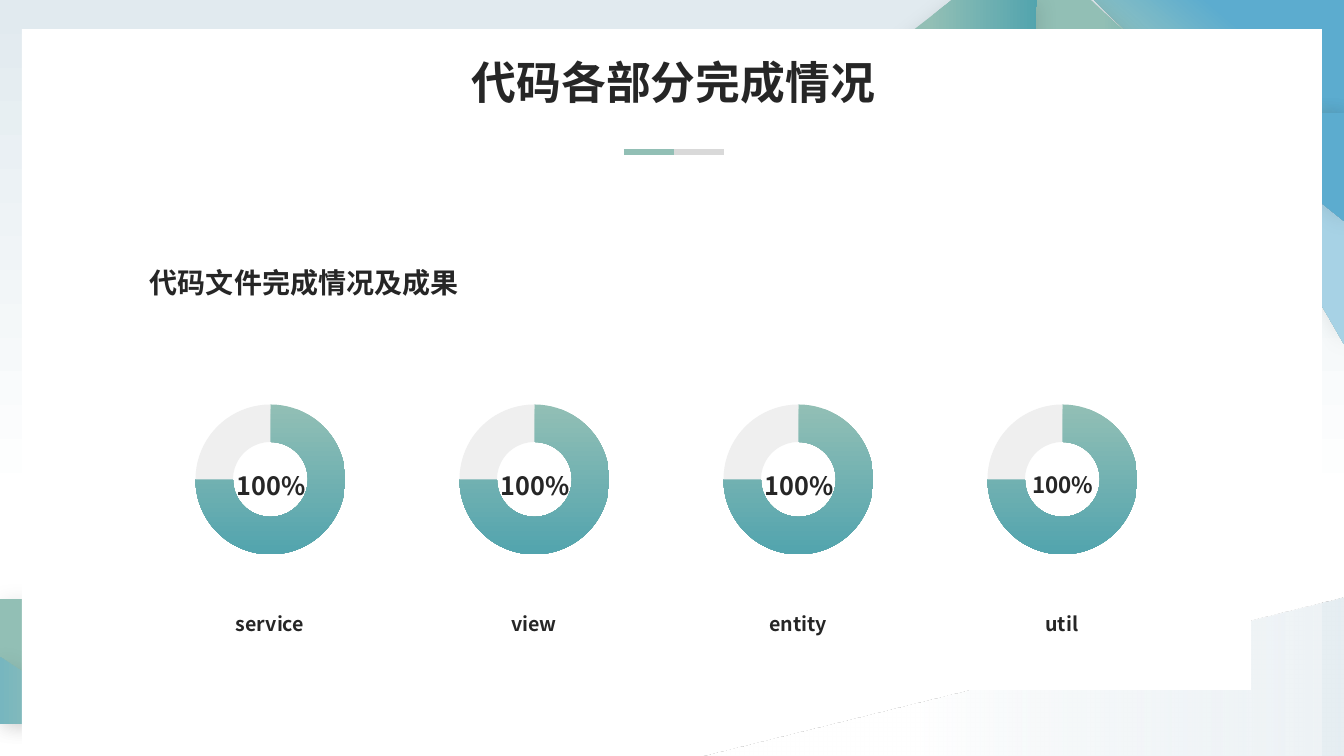
from lxml import etree
from pptx import Presentation
from pptx.chart.data import CategoryChartData
from pptx.dml.color import RGBColor
from pptx.enum.chart import XL_CHART_TYPE
from pptx.enum.shapes import MSO_CONNECTOR, MSO_SHAPE
from pptx.enum.text import MSO_ANCHOR, PP_ALIGN
from pptx.oxml import parse_xml
from pptx.oxml.ns import nsdecls, qn
from pptx.util import Pt

RECTANGLE = MSO_SHAPE.RECTANGLE
TRIANGLE = MSO_SHAPE.ISOSCELES_TRIANGLE
STRAIGHT = MSO_CONNECTOR.STRAIGHT
DOUGHNUT = XL_CHART_TYPE.DOUGHNUT
LEFT, CENTER = PP_ALIGN.LEFT, PP_ALIGN.CENTER
TOP, MIDDLE = MSO_ANCHOR.TOP, MSO_ANCHOR.MIDDLE

WHITE = RGBColor(0xFF, 0xFF, 0xFF)
MIST = RGBColor(0xE1, 0xEA, 0xEF)
SAGE = RGBColor(0x92, 0xBF, 0xB5)
LIGHT_SAGE = RGBColor(0xB6, 0xD3, 0xB7)
TEAL = RGBColor(0x52, 0xA4, 0xAE)
LIGHT_TEAL = RGBColor(0x77, 0xB6, 0xBF)
BLUE = RGBColor(0x5C, 0xAC, 0xCF)
LIGHT_BLUE = RGBColor(0xA7, 0xD2, 0xE5)
SILVER = RGBColor(0xD9, 0xD9, 0xD9)
RING_GREY = RGBColor(0xEF, 0xEF, 0xEF)
INK = RGBColor(0x26, 0x26, 0x26)

SCALE = 914400 / 100.8
SHADOW = (
    f'<a:effectLst {nsdecls("a")}><a:outerShdw blurRad="190500" dist="38100" '
    'dir="2700000" algn="tl" rotWithShape="0"><a:srgbClr val="000000">'
    '<a:alpha val="10000"/></a:srgbClr></a:outerShdw></a:effectLst>'
)


def emu(*lengths):
    return [round(length * SCALE) for length in lengths]


class SlidePainter:
    """Draws styled elements on one slide, with lengths in px."""

    font_name = "Noto Sans CJK SC"

    def __init__(self, slide):
        self.shapes = slide.shapes

    def gradient(self, fill, stops, angle):
        fill.gradient()
        fill.gradient_angle = (360 - angle) % 360
        for stop, (position, color) in zip(fill.gradient_stops, stops):
            stop.position = position / 100
            stop.color.rgb = color

    def finish(self, shape, paint, angle, shadow):
        shape.shadow.inherit = False
        shape.line.fill.background()
        if angle is None:
            shape.fill.solid()
            shape.fill.fore_color.rgb = paint
        else:
            self.gradient(shape.fill, paint, angle)
        if shadow:
            properties = shape._element.spPr
            properties.remove(properties.find(qn("a:effectLst")))
            properties.append(parse_xml(SHADOW))
        return shape

    def rectangle(self, area, paint, angle=None):
        shape = self.shapes.add_shape(RECTANGLE, *emu(*area))
        return self.finish(shape, paint, angle, False)

    def triangle(self, area, paint, angle, flip=None, shadow=True):
        shape = self.shapes.add_shape(TRIANGLE, *emu(*area))
        shape.adjustments[0] = 1
        if flip:
            shape._element.spPr.xfrm.set(flip, "1")
        return self.finish(shape, paint, angle, shadow)

    def polygon(self, points, paint, angle):
        builder = self.shapes.build_freeform(*points[0], scale=SCALE)
        builder.add_line_segments(points[1:], close=True)
        return self.finish(builder.convert_to_shape(), paint, angle, True)

    def slope(self):
        area = (704, 598, 640, 158)
        shape = self.triangle(area, [(0, MIST), (67, WHITE)], 180, shadow=False)
        color = shape._element.spPr.find(".//" + qn("a:gs"))[0]
        etree.SubElement(color, qn("a:alpha")).set("val", "57000")

    def line(self, left, right, y, color):
        line = self.shapes.add_connector(STRAIGHT, *emu(left, y, right, y))
        line.line.color.rgb = color
        line.line.width = Pt(4.5)
        etree.SubElement(line._element.spPr, qn("a:effectLst"))

    def text(self, area, text, size, align=CENTER, anchor=TOP, spacing=None, wrap=True):
        frame = self.shapes.add_textbox(*emu(*area)).text_frame
        frame.word_wrap = wrap
        frame.vertical_anchor = anchor
        frame.text = text
        para = frame.paragraphs[0]
        para.alignment = align
        para.line_spacing = spacing
        font = para.runs[0].font
        font.name = self.font_name
        font.size = Pt(size)
        font.bold = True
        font.color.rgb = INK
        east_asian = etree.SubElement(font._element, qn("a:ea"))
        east_asian.set("typeface", self.font_name)

    def ring(self, area, diameter):
        data = CategoryChartData()
        data.categories = ["1", "2"]
        data.add_series("Series 1", (75, 25))
        chart = self.shapes.add_chart(DOUGHNUT, *emu(*area), data).chart
        chart.has_legend = False
        chart.has_title = False
        chart.font.name = self.font_name
        chart.font.size = Pt(18)
        chart.font.color.rgb = INK
        plot = chart.plots[0]
        plot.vary_by_categories = False
        done, rest = [plot.series[0].points[i].format for i in range(2)]
        self.gradient(done.fill, [(0, SAGE), (100, TEAL)], 90)
        rest.fill.solid()
        rest.fill.fore_color.rgb = RING_GREY
        for part in (done, rest):
            part.line.fill.background()
        self.place_plot(chart, diameter / area[2], diameter / area[3])

    def place_plot(self, chart, width, height):
        plot_area = chart._chartSpace.chart.plotArea
        for layout in plot_area.findall(qn("c:layout")):
            plot_area.remove(layout)
        layout = etree.Element(qn("c:layout"))
        manual = etree.SubElement(layout, qn("c:manualLayout"))
        settings = {
            "layoutTarget": "inner", "xMode": "edge", "yMode": "edge",
            "x": (1 - width) / 2, "y": (1 - height) / 2, "w": width, "h": height,
        }
        for name, value in settings.items():
            etree.SubElement(manual, qn(f"c:{name}")).set("val", str(value))
        plot_area.insert(0, layout)


def draw_background(painter):
    painter.rectangle((0, 0, 1344, 756), [(0, MIST), (67, WHITE)], 90)
    painter.slope()
    painter.polygon([(122, 724), (29, 599), (0, 599), (0, 724)],
                    [(37, SAGE), (76, TEAL)], 20)
    painter.triangle((0, 657, 103, 67), [(45, SAGE), (100, LIGHT_TEAL)], 0, "flipH")
    for area, stops, angle in (
        ((1094, 0, 250, 245), [(31, LIGHT_SAGE), (75, BLUE)], 50),
        ((1211, 113, 133, 231), [(0, SAGE), (63, LIGHT_BLUE)], 0),
        ((1210, 113, 134, 108), [(0, SAGE), (65, BLUE)], 0),
    ):
        painter.triangle(area, stops, angle, "flipV")
    painter.polygon([(1027, 251), (1034, 0), (1091, 0), (1214, 116)],
                    [(40, SAGE), (93, TEAL)], 0)
    painter.polygon([(1027, 252), (866, 67), (952, 0), (1037, 0)],
                    [(37, SAGE), (100, TEAL)], 0)
    painter.rectangle((22, 29, 1300, 727), WHITE)
    painter.slope()
    painter.line(624, 674, 152, SAGE)
    painter.line(674, 724, 152, SILVER)


def main():
    deck = Presentation()
    deck.slide_width, deck.slide_height = emu(1344, 756)
    painter = SlidePainter(deck.slides.add_slide(deck.slide_layouts[6]))
    draw_background(painter)
    painter.rectangle((98, 354, 1153, 336), WHITE)
    modules = [("service", 18), ("view", 18), ("entity", 18), ("util", 16)]
    for index, (name, size) in enumerate(modules):
        left = 182 + 264 * index
        painter.ring((left, 388, 177, 183), 150)
        painter.text((left + 37, 465, 104, 40), "100%", size, anchor=MIDDLE)
        painter.text((left + 36, 600, 104, 38), name, 14, spacing=1.3)
    painter.text((140, 261, 348, 44), "代码文件完成情况及成果", 20, LEFT)
    painter.text((460, 50, 427, 65), "代码各部分完成情况", 32, wrap=False)
    deck.save("out.pptx")


if __name__ == "__main__":
    main()
